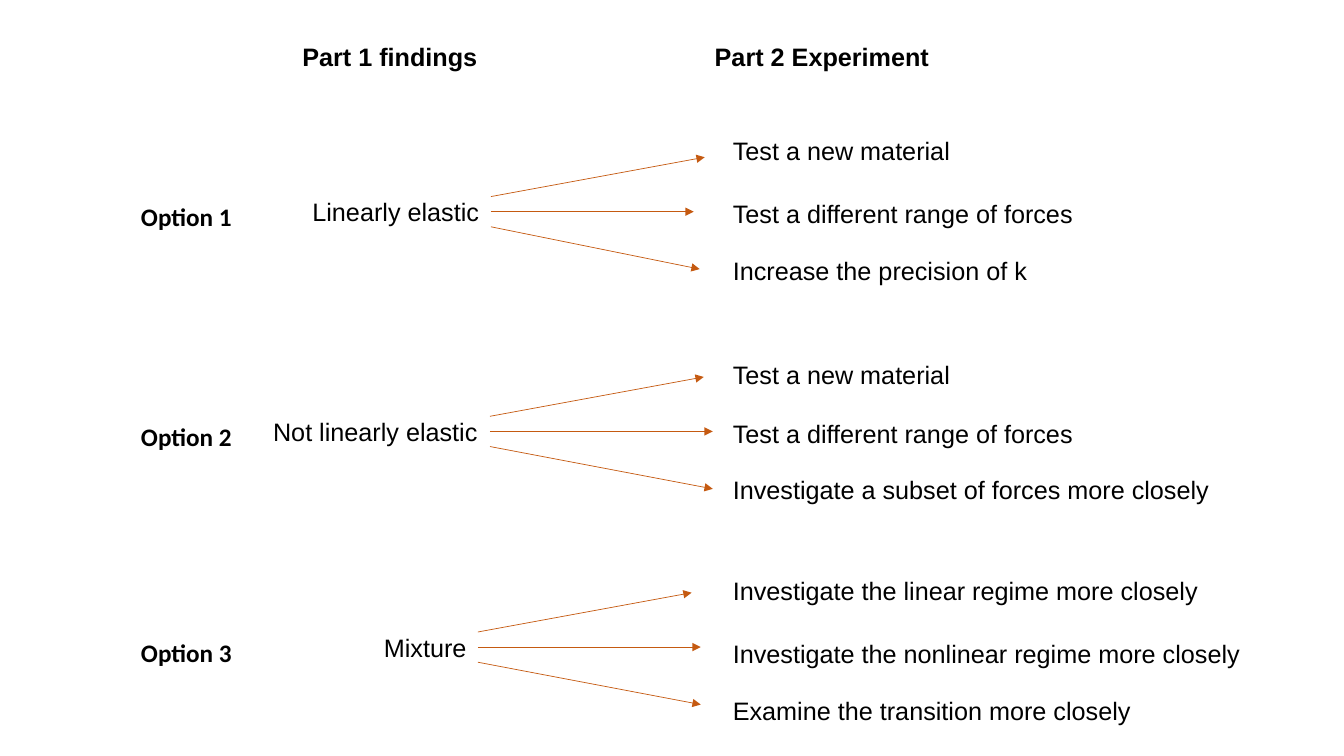
from dataclasses import dataclass

from lxml.etree import SubElement
from pptx import Presentation
from pptx.dml.color import RGBColor
from pptx.enum.shapes import MSO_CONNECTOR
from pptx.enum.text import MSO_AUTO_SIZE as AutoSize, PP_ALIGN as Align
from pptx.oxml.ns import qn
from pptx.util import Inches, Pt

# Grid: column positions and row offsets, in inches
SLIDE_W, SLIDE_H = 13.33, 7.5
HEADER_TOP = 0.36
LABEL_COL, LABEL_W = 1.3, 1.11
OUTCOME_COL = 7.17
ROW_H = 0.4
LABEL_DROP = 0.05
START_OFFSETS = (-0.15, 0, 0.15)
TIP_OFFSETS = (-0.54, 0, 0.57)

TEXT_COLOR, ARROW_COLOR = "000000", "C55A11"


@dataclass
class Option:
    finding: str
    top: float
    right: float
    width: float
    reaches: tuple  # arrow lengths across
    outcomes: tuple  # (text, top, width)


HEADERS = (("Part 1 findings", 2.9, 1.96), ("Part 2 Experiment", 6.99, 2.35))
OPTIONS = (
    Option("Linearly elastic", 1.9, 4.87, 1.87, (2.12, 2.01, 2.07), (
        ("Test a new material", 1.29, 2.38),
        ("Test a different range of forces", 1.92, 3.61),
        ("Increase the precision of k", 2.48, 3.15))),
    Option("Not linearly elastic", 4.08, 4.86, 2.25, (2.12, 2.21, 2.21), (
        ("Test a new material", 3.52, 2.38),
        ("Test a different range of forces", 4.1, 3.61),
        ("Investigate a subset of forces more closely", 4.66, 4.96))),
    Option("Mixture", 6.22, 4.74, 1.03, (2.12, 2.21, 2.21), (
        ("Investigate the linear regime more closely", 5.66, 4.86),
        ("Investigate the nonlinear regime more closely", 6.28, 5.28),
        ("Examine the transition more closely", 6.85, 4.16))),
)


def color(hex_code):
    return RGBColor.from_string(hex_code)


def add_label(slide, text, left, top, width, font_name="Arial", bold=False):
    label = slide.shapes.add_textbox(
        Inches(left), Inches(top), Inches(width), Inches(ROW_H))
    frame = label.text_frame
    frame.text = text
    frame.word_wrap = False
    frame.auto_size = AutoSize.SHAPE_TO_FIT_TEXT
    paragraph = frame.paragraphs[0]
    paragraph.alignment = Align.LEFT
    font = paragraph.runs[0].font
    font.name, font.size, font.bold = font_name, Pt(18), bold
    font.color.rgb = color(TEXT_COLOR)
    return label


def add_arrow(slide, x1, y1, x2, y2):
    arrow = slide.shapes.add_connector(
        MSO_CONNECTOR.STRAIGHT, Inches(x1), Inches(y1), Inches(x2), Inches(y2))
    arrow.line.color.rgb = color(ARROW_COLOR)
    arrow.line.width = Pt(0.5)
    SubElement(arrow.line._get_or_add_ln(), qn("a:tailEnd"), type="triangle")
    SubElement(arrow._element.spPr, qn("a:effectLst"))
    return arrow


def add_option(slide, number, option):
    # Option label and its finding
    add_label(slide, f"Option {number}", LABEL_COL, option.top + LABEL_DROP,
              LABEL_W, "Calibri", bold=True)
    finding = add_label(slide, option.finding, option.right - option.width,
                        option.top, option.width)

    # Arrows fanning out to the experiments
    middle = option.top + ROW_H / 2
    for start, tip, reach in zip(START_OFFSETS, TIP_OFFSETS, option.reaches):
        arrow = add_arrow(slide, option.right, middle + start,
                          option.right + reach, middle + tip)
        if start == 0:
            arrow.begin_connect(finding, 3)

    # Possible experiments
    for text, top, width in option.outcomes:
        add_label(slide, text, OUTCOME_COL, top, width)


def main():
    prs = Presentation()
    prs.slide_width, prs.slide_height = Inches(SLIDE_W), Inches(SLIDE_H)
    slide = prs.slides.add_slide(prs.slide_layouts[6])

    # Column headers
    for text, left, width in HEADERS:
        add_label(slide, text, left, HEADER_TOP, width, bold=True)

    # One block per option
    for number, option in enumerate(OPTIONS, 1):
        add_option(slide, number, option)

    prs.save("out.pptx")


if __name__ == "__main__":
    main()
